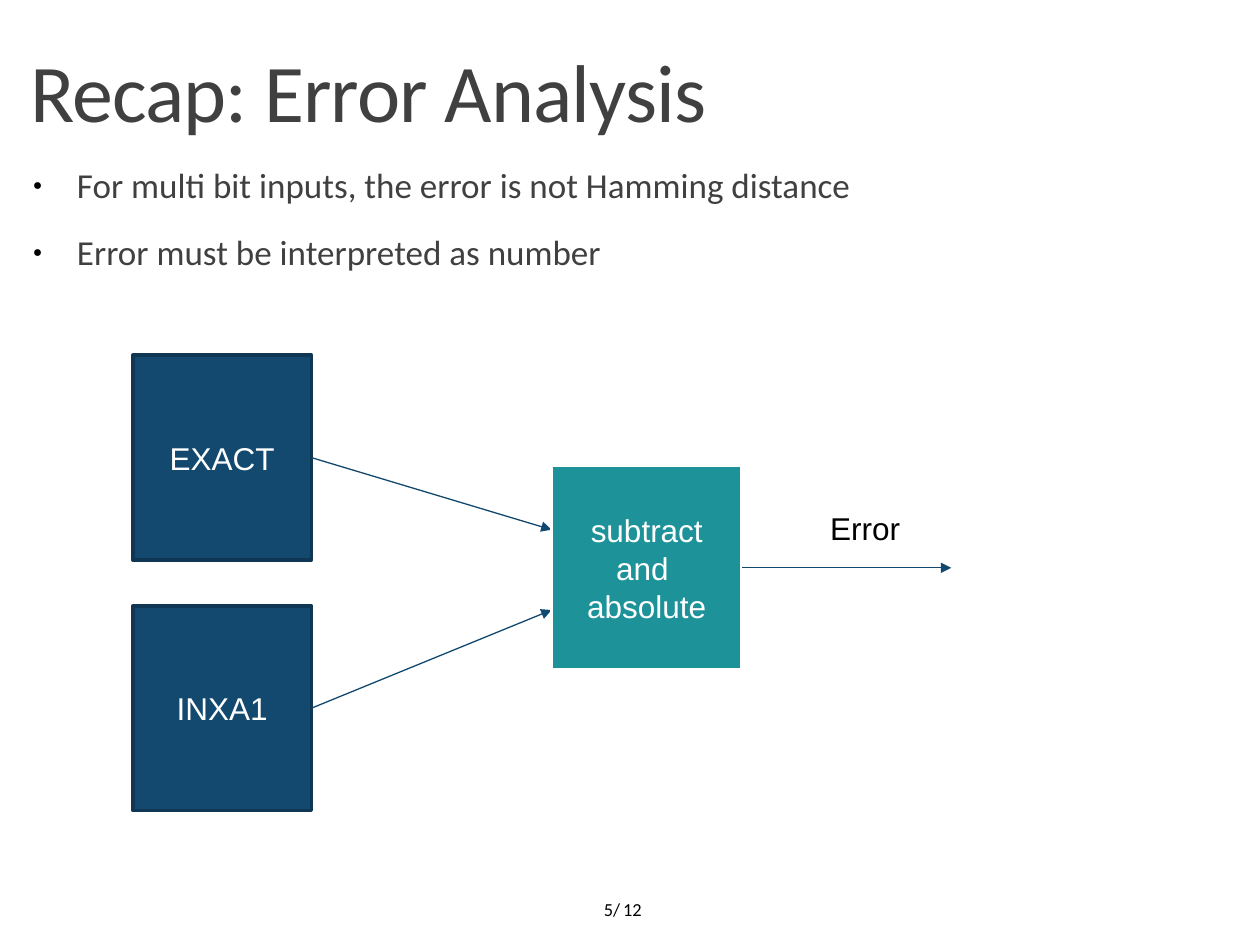
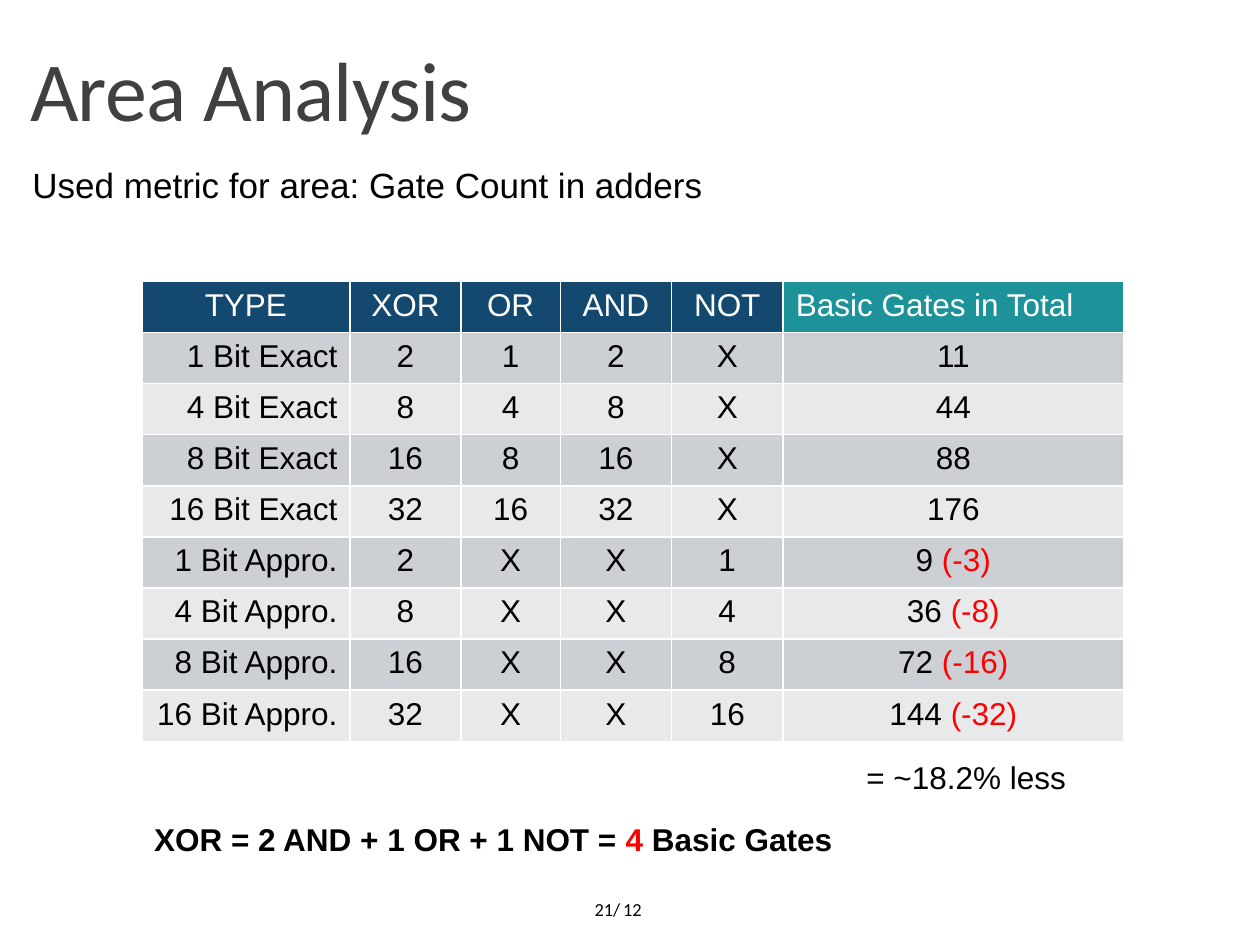
"""Build the error analysis and area analysis slides."""
import pptx
import pptx.chart.data
import pptx.dml.color
import pptx.enum.shapes
import pptx.enum.text
import pptx.oxml
import pptx.oxml.ns
import pptx.util
from lxml import etree

Pt = pptx.util.Pt
ALIGN = pptx.enum.text.PP_ALIGN
ANCHOR = pptx.enum.text.MSO_ANCHOR
COLORS = {
    "title": "404040", "text": "000000", "white": "FFFFFF", "alert": "FF0000",
    "navy": "14496F", "navy_edge": "0F3652", "teal": "1D9399", "arrow": "11486F",
    "band_dark": "CCD0D5", "band_light": "E7E9EB",
}
TITLE_BOX = (10, 8, 695.5, 75)
BODY_BOX = (10, 90, 695.5, 404)
FOOTER_BOX = (315.4, 505, 58.3, 28.8)
DIAGRAM_BOX = (76, 203, 490, 260)
TABLE_BOX = (81, 160.8, 561, 263)
PAGE_TOTAL = "12"
COLUMN_WIDTHS = (119, 63.3, 57, 63.3, 64, 194.4)
GATE_HEADERS = ("TYPE", "XOR", "OR", "AND", "NOT", "Basic Gates in Total")
GATE_ROWS = (
    ("1 Bit Exact", "2", "1", "2", "X", "11"),
    ("4 Bit Exact", "8", "4", "8", "X", "44"),
    ("8 Bit Exact", "16", "8", "16", "X", "88"),
    ("16 Bit Exact", "32", "16", "32", "X", "176"),
    ("1 Bit Appro.", "2", "X", "X", "1", "9 ", "(-3)"),
    ("4 Bit Appro.", "8", "X", "X", "4", "36 ", "(-8)"),
    ("8 Bit Appro.", "16", "X", "X", "8", "72 ", "(-16)"),
    ("16 Bit Appro.", "32", "X", "X", "16", "144 ", "(-32)"),
)


def rgb(name):
    """Return the named colour."""
    return pptx.dml.color.RGBColor.from_string(COLORS[name])


def place(shape, box):
    """Move a shape to a box given in points."""
    shape.left, shape.top, shape.width, shape.height = map(Pt, box)


def style(para, color="text", size=18, font="Arial", bold=False, align=ALIGN.LEFT):
    """Format a paragraph and all its runs."""
    para.alignment = align
    for span in para.runs:
        span.font.name, span.font.size, span.font.bold = font, Pt(size), bold
        span.font.color.rgb = rgb(color)


def add_spans(para, parts, **options):
    """Write differently coloured runs into one paragraph."""
    for text, _ in parts:
        para.add_run().text = text
    style(para, **options)
    for span, (_, color) in zip(para.runs, parts):
        span.font.color.rgb = rgb(color)


def add_label(page, box, parts, anchor=ANCHOR.TOP, **options):
    """Add a text box holding one paragraph."""
    label = page.shapes.add_textbox(*map(Pt, box))
    label.text_frame.word_wrap = True
    label.text_frame.vertical_anchor = anchor
    add_spans(label.text_frame.paragraphs[0], parts, **options)


def add_title(page, text, size):
    """Fill the title placeholder."""
    place(page.shapes.title, TITLE_BOX)
    frame = page.shapes.title.text_frame
    frame.text = text
    frame.auto_size = pptx.enum.text.MSO_AUTO_SIZE.NONE
    frame.vertical_anchor = ANCHOR.BOTTOM
    para = frame.paragraphs[0]
    para.line_spacing = 0.85
    style(para, "title", size, "Calibri")
    para.runs[0].font._element.set("spc", "-50")


def set_bullet(para, char):
    """Set a small black bullet, or none when char is empty."""
    props = para._p.get_or_add_pPr()
    if not char:
        etree.SubElement(props, pptx.oxml.ns.qn("a:buNone"))
        return
    color = etree.SubElement(props, pptx.oxml.ns.qn("a:buClr"))
    etree.SubElement(color, pptx.oxml.ns.qn("a:srgbClr"), val=COLORS["text"])
    etree.SubElement(props, pptx.oxml.ns.qn("a:buSzPct"), val="45000")
    etree.SubElement(props, pptx.oxml.ns.qn("a:buFont"), typeface="Arial")
    etree.SubElement(props, pptx.oxml.ns.qn("a:buChar"), char=char)


def add_body(page, lines, bullet, margin, indent, color, font):
    """Fill the body placeholder with one paragraph per line."""
    body = page.placeholders[1]
    place(body, BODY_BOX)
    frame = body.text_frame
    frame.text = "\n".join(lines)
    frame.auto_size = pptx.enum.text.MSO_AUTO_SIZE.NONE
    frame.margin_left = frame.margin_right = 0
    for para in frame.paragraphs:
        style(para, color, 20, font)
        para.space_before = Pt(14.2)
        props = para._p.get_or_add_pPr()
        props.set("marL", str(Pt(margin)))
        props.set("indent", str(Pt(indent)))
        set_bullet(para, bullet)


def add_footer(page, number):
    """Add the page number and the page total."""
    left, top, width, height = FOOTER_BOX
    total_width = 28.1
    total_box = (left + width - total_width, top, total_width, height)
    number_box = (left, top, width - 12.2, height)
    for box, text in ((total_box, PAGE_TOTAL), (number_box, f"{number}/")):
        add_label(page, box, [(text, "text")], ANCHOR.MIDDLE,
                  size=10.5, font="Calibri", align=ALIGN.RIGHT)


def add_block(page, box, text, fill, edge):
    """Add a filled rectangle with centred text."""
    block = page.shapes.add_shape(pptx.enum.shapes.MSO_SHAPE.RECTANGLE, *map(Pt, box))
    block.shadow.inherit = False
    block.fill.solid()
    block.fill.fore_color.rgb = rgb(fill)
    block.line.color.rgb = rgb(edge)
    block.line.width = Pt(2)
    block.text_frame.text = text
    block.text_frame.vertical_anchor = ANCHOR.MIDDLE
    for para in block.text_frame.paragraphs:
        style(para, "white", align=ALIGN.CENTER)


def add_arrow(page, start, end):
    """Add a thin straight arrow."""
    arrow = page.shapes.add_connector(
        pptx.enum.shapes.MSO_CONNECTOR.STRAIGHT, *map(Pt, start + end))
    arrow.line.color.rgb = rgb("arrow")
    arrow.line.width = Pt(0.75)
    etree.SubElement(arrow.line._get_or_add_ln(), pptx.oxml.ns.qn("a:tailEnd"), type="triangle")
    etree.SubElement(arrow._element.spPr, pptx.oxml.ns.qn("a:effectLst"))


def add_error_diagram(page, box):
    """Draw two adders feeding the subtraction that gives the error."""
    left, top, width, _ = box
    adder_width, adder_height, pitch = 102, 117, 143.2
    middle_left, middle_top, middle_width = left + 239.2, top + 63, 108.7
    for index, (name, entry) in enumerate((("EXACT", 36.7), ("INXA1", 82.6))):
        adder_top = top + index * pitch
        add_block(page, (left, adder_top, adder_width, adder_height),
                  name, "navy", "navy_edge")
        add_arrow(page, (left + adder_width, adder_top + adder_height / 2),
                  (middle_left, middle_top + entry))
    add_block(page, (middle_left, middle_top, middle_width, adder_height),
              "subtract and \nabsolute", "teal", "white")
    output_y = middle_top + adder_height / 2
    add_arrow(page, (middle_left + middle_width, output_y), (left + 467.6, output_y))
    add_label(page, (left + 391.3, output_y - 37.2, 96.5, 29), [("Error", "text")])


def add_gate_table(page, box):
    """Add the gate count table with banded rows."""
    rows = (GATE_HEADERS,) + GATE_ROWS
    last = len(GATE_HEADERS) - 1
    table = page.shapes.add_table(len(rows), last + 1, *map(Pt, box)).table
    for column, width in zip(table.columns, COLUMN_WIDTHS):
        column.width = Pt(width)
    for row_index, values in enumerate(rows):
        table.rows[row_index].height = Pt(box[3] / len(rows))
        for index in range(last + 1):
            cell = table.cell(row_index, index)
            if row_index == 0:
                fill, color = ("teal" if index == last else "navy"), "white"
                align = ALIGN.LEFT if index == last else ALIGN.CENTER
            else:
                fill, color = ("band_dark" if row_index % 2 else "band_light"), "text"
                align = ALIGN.CENTER if index else ALIGN.RIGHT
            cell.fill.solid()
            cell.fill.fore_color.rgb = rgb(fill)
            parts = [(values[index], color)]
            if index == last:
                parts += [(saving, "alert") for saving in values[last + 1:]]
            add_spans(cell.text_frame.paragraphs[0], parts, align=align)


def add_page(deck, title, title_size, number):
    """Add a page with its title and footer."""
    page = deck.slides.add_slide(deck.slide_layouts[1])
    add_title(page, title, title_size)
    add_footer(page, number)
    return page


def build_error_page(deck):
    """Build the error analysis page."""
    page = add_page(deck, "Recap: Error Analysis", 46.8, 5)
    lines = ("For multi bit inputs, the error is not Hamming distance",
             "Error must be interpreted as number")
    add_body(page, lines, "●", 34, -25.2, "title", "Calibri")
    add_error_diagram(page, DIAGRAM_BOX)


def build_area_page(deck):
    """Build the area analysis page."""
    page = add_page(deck, "Area Analysis", 48, 21)
    add_body(page, ("Used metric for area: Gate Count in adders",),
             "", 8.5, 0, "text", "Arial")
    add_gate_table(page, TABLE_BOX)
    left, top, _, height = TABLE_BOX
    bottom = top + height
    add_label(page, (left, bottom + 41.3, 407, 29),
              [("XOR = 2 AND + 1 OR + 1 NOT = ", "text"), ("4", "alert"),
               (" Basic Gates", "text")], bold=True)
    add_label(page, (left + 407, bottom + 6, 138, 29), [("= ~18.2% less", "text")])


def main():
    """Build and save the deck."""
    deck = pptx.Presentation()
    deck.slide_width, deck.slide_height = Pt(720), Pt(540)
    build_error_page(deck)
    build_area_page(deck)
    deck.save("out.pptx")


if __name__ == "__main__":
    main()
